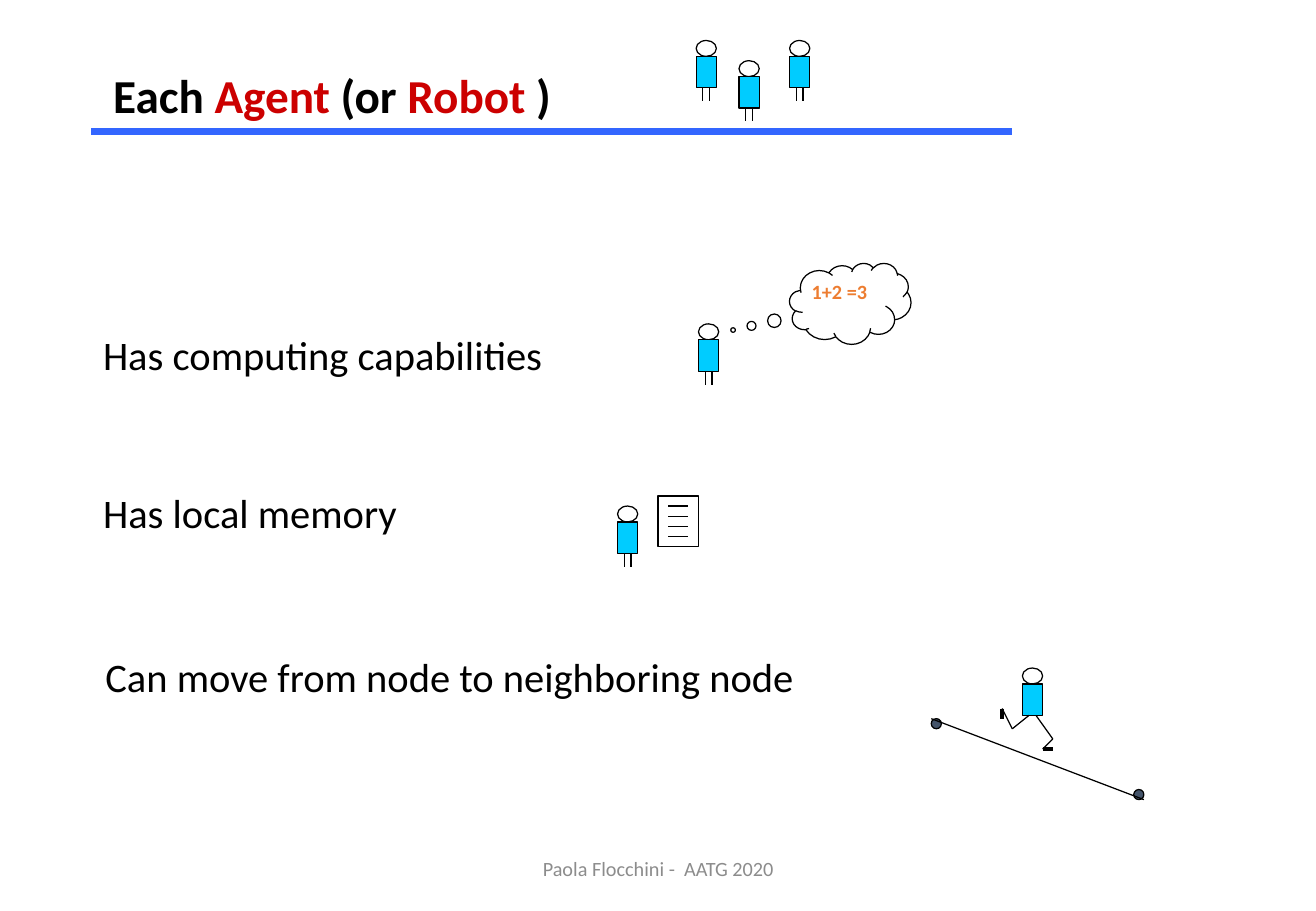
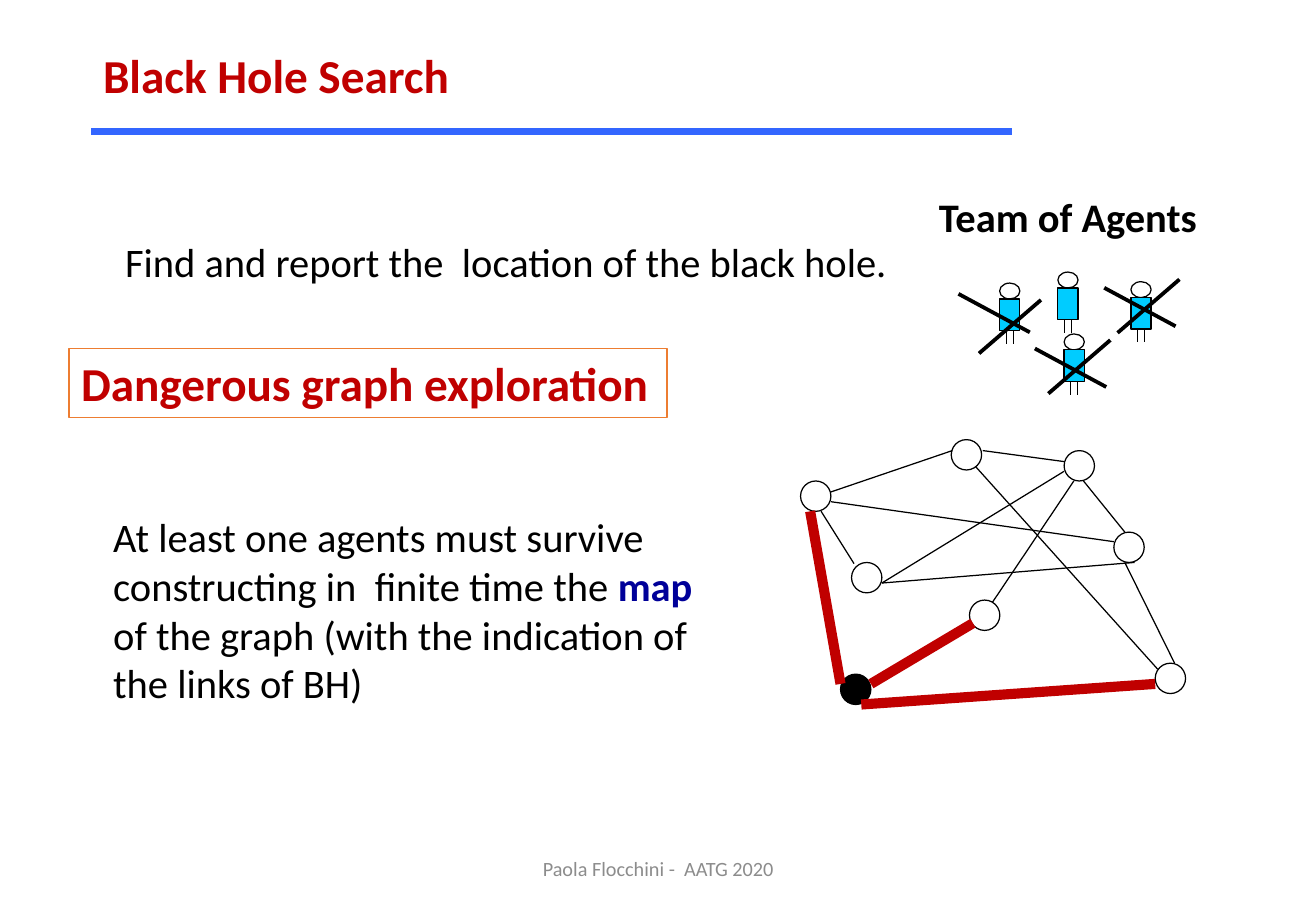
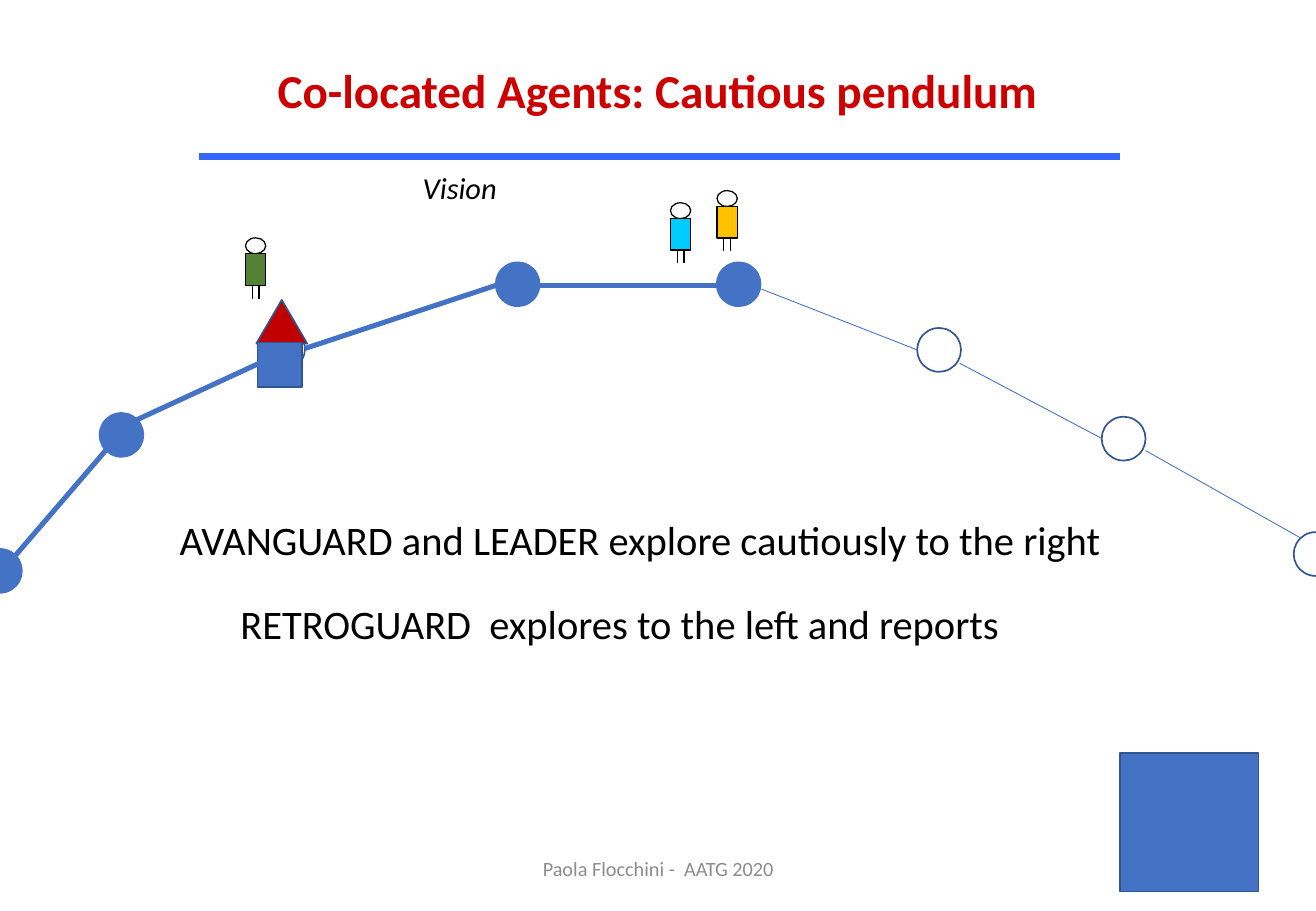
import pptx
import pptx.util
import pptx.dml.color
import pptx.enum.shapes
import pptx.enum.text
import lxml.etree

Pt = pptx.util.Pt
SHAPE = pptx.enum.shapes.MSO_SHAPE
ALIGN = pptx.enum.text.PP_ALIGN
ANCHOR = pptx.enum.text.MSO_ANCHOR

FONT = "Calibri"
FOOTER = "Paola Flocchini -  AATG 2020"
COLORS = {
    "black": "000000", "white": "FFFFFF", "gray": "8C8C8C", "rule": "3366FF",
    "red": "CC0000", "dark red": "C00000", "navy": "000099", "orange": "ED7D31",
    "cyan": "00CCFF", "gold": "FFC000", "green": "548235", "slate": "44546A",
    "blue": "4472C4", "dark blue": "325491",
}

# Slide 1: left, top, width, text
ABILITIES = [
    (54, 192, 496, "Has computing capabilities"),
    (54, 286, 300, "Has local memory"),
    (55.4, 383, 470, "Can move from node to neighboring node"),
]
TITLE_AGENTS = [(438, 36), (468, 24), (412.6, 24)]
THINKER, REMEMBERER, RUNNER = (414, 192), (366, 300), (606, 396)
RUNNING_LEGS = [[(610, 424), (600, 432), (594, 420)],
                [(614, 424), (624, 438), (618, 444)]]
FEET = [[(594, 420), (594, 426)], [(618, 444), (624, 444)]]
TRACK = [(552, 426), (678, 474)]
TRACK_NODES = [(552, 426), (672, 468)]

# Slide 2
TEAM = [(670.3, 167), (627, 161.3), (592.5, 167.8), (630.7, 198)]
CROSS_STARTS = [((568.1, 174.2), (580.3, 209.5)),
                ((654.5, 170.6), (662.4, 197.3)),
                ((613.4, 206.6), (621.4, 233.3))]
CROSS_STROKES = [(42.3, 22.8), (36.7, -31.7)]
GRAPH_NODES = [(474.5, 285.1), (563.8, 260.6), (660.2, 315.4), (504.7, 333.4),
               (574.6, 355.7), (630.7, 267.1), (684.7, 393.1)]
BLACK_HOLE = (498.2, 399.6)
SAFE_LINKS = [
    [(666.7, 333.4), (696.2, 393.1)], [(642.2, 285.1), (666.7, 315.4)],
    [(492.5, 291.6), (564.5, 267.1)], [(492.5, 297.4), (660.2, 321.1)],
    [(578.2, 276.5), (686.2, 396.7)], [(522.7, 345.6), (630.7, 279.4)],
    [(582.5, 267.1), (630.7, 273.6)], [(522.7, 345.6), (672.5, 333.4)],
    [(636.5, 285.1), (588.2, 357.1)], [(486.7, 303.1), (506.2, 334.1)],
]
BLACK_HOLE_LINKS = [
    [(516.2, 405.4), (576.7, 369.4)], [(480.2, 303.1), (498.2, 405.4)],
    [(510.5, 417.6), (684.7, 405.4)],
]

# Slide 3
EXPLORED_NODES = [(-13, 325.4), (59, 244.8), (293.8, 155.5), (424.8, 155.5)]
OTHER_NODES = [(154.8, 193.7), (543.6, 194.4), (653, 247), (766.8, 315.4)]
EXPLORED_LINKS = [
    [(319, 169.2), (424.8, 169.2)], [(180.7, 206.6), (293.8, 169.2)],
    [(80.6, 249.1), (157, 213.8)], [(9.4, 329), (62.6, 267.1)],
]
UNEXPLORED_LINKS = [
    [(451.4, 171.4), (543.6, 207.4)], [(568.8, 215.3), (653, 259.9)],
    [(679, 267.1), (771.1, 319)],
]
GUARDS = [((425, 113), "gold"), ((145.5, 141), "green"), ((397.4, 120.2), "cyan")]


def rgb(name):
    return pptx.dml.color.RGBColor.from_string(COLORS[name])


def add_shape(shapes, kind, left, top, width, height, fill=None, line="black", weight=0.75):
    shape = shapes.add_shape(kind, Pt(left), Pt(top), Pt(width), Pt(height))
    shape.shadow.inherit = False
    if fill:
        shape.fill.solid()
        shape.fill.fore_color.rgb = rgb(fill)
    else:
        shape.fill.background()
    shape.line.color.rgb = rgb(line)
    shape.line.width = Pt(weight)
    return shape


def add_path(shapes, points, color="black", weight=0.75):
    """Join successive points with straight connectors."""
    for start, end in zip(points, points[1:]):
        connector = shapes.add_connector(
            pptx.enum.shapes.MSO_CONNECTOR.STRAIGHT, *(Pt(value) for value in start + end))
        connector.line.color.rgb = rgb(color)
        connector.line.width = Pt(weight)
        lxml.etree.SubElement(connector._element.spPr, pptx.oxml.ns.qn("a:effectLst"))


def write(shape, runs, size, bold=False, italic=False, align=ALIGN.LEFT,
          anchor=ANCHOR.TOP, wrap=True):
    """Fill a shape with one paragraph made of (text, colour[, bold]) runs."""
    frame = shape.text_frame
    frame.word_wrap = wrap
    frame.vertical_anchor = anchor
    paragraph = frame.paragraphs[0]
    paragraph.alignment = align
    for text, color, *own_bold in runs:
        run = paragraph.add_run()
        run.text = text
        run.font.name = FONT
        run.font.size = Pt(size)
        run.font.bold = own_bold[0] if own_bold else bold
        run.font.italic = italic
        run.font.color.rgb = rgb(color)


def add_text(shapes, left, top, width, height, runs, size=24, **style):
    box = shapes.add_textbox(Pt(left), Pt(top), Pt(width), Pt(height))
    write(box, runs, size, **style)


def add_agent(slide, position, color="cyan", standing=True):
    left, top = position
    shapes = slide.shapes.add_group_shape().shapes
    add_shape(shapes, SHAPE.OVAL, left, top, 12, 9.4)
    add_shape(shapes, SHAPE.RECTANGLE, left, top + 9.4, 12, 18.7, color)
    if standing:
        for leg in (left + 4, left + 8):
            add_path(shapes, [(leg, top + 28), (leg, top + 36)])


def add_slide(presentation, title, title_box, rule_start, align=ALIGN.LEFT):
    slide = presentation.slides.add_slide(presentation.slide_layouts[6])
    shapes = slide.shapes
    add_text(shapes, 258.5, 500.4, 263.5, 28.8, [(FOOTER, "gray")], 12,
             align=ALIGN.CENTER, anchor=ANCHOR.MIDDLE)
    left, top = rule_start
    add_path(shapes, [(left, top), (left + 546, top)], "rule", 4)
    add_text(shapes, *title_box, 41, title, 28, bold=True, align=align)
    return slide


def build_agent_slide(presentation):
    title = [("Each ", "black"), ("Agent ", "red"), ("(or", "black"),
             (" Robot ", "red"), (")", "black")]
    slide = add_slide(presentation, title, (60, 36, 300), (54, 78))
    shapes = slide.shapes
    for left, top, width, text in ABILITIES:
        add_text(shapes, left, top, width, 36, [(text, "black")])
    for position in TITLE_AGENTS + [THINKER, REMEMBERER]:
        add_agent(slide, position)

    cloud = add_shape(shapes, SHAPE.CLOUD_CALLOUT, 468, 156, 72, 48, "white")
    cloud.adjustments[0], cloud.adjustments[1] = -0.965, 0.326
    add_text(shapes, 474, 162, 48, 22, [("1+2 =3", "orange")], 12, bold=True, wrap=False)

    add_shape(shapes, SHAPE.RECTANGLE, 390, 294, 24, 30, "white")
    for row in range(4):
        add_path(shapes, [(396, 300 + 6 * row), (408, 300 + 6 * row)])

    for left, top in TRACK_NODES:
        add_shape(shapes, SHAPE.OVAL, left, top, 6, 6, "slate")
    add_path(shapes, TRACK)
    add_agent(slide, RUNNER, standing=False)
    for leg in RUNNING_LEGS:
        add_path(shapes, leg)
    for foot in FEET:
        add_path(shapes, foot, weight=2.75)


def build_black_hole_slide(presentation):
    slide = add_slide(presentation, [("Black Hole Search", "dark red")],
                      (54, 24, 300), (54, 78))
    shapes = slide.shapes
    add_text(shapes, 67, 136.8, 480, 36,
             [("Find and report the  location of the black hole.", "black")])
    box = add_shape(shapes, SHAPE.RECTANGLE, 41, 206.6, 354.2, 41, "white", "orange", 1)
    write(box, [("Dangerous graph exploration", "dark red")], 28, bold=True, wrap=False)
    add_text(shapes, 60, 300.2, 366.5, 124,
             [("At least one agents must survive constructing in  finite time the ", "black"),
              ("map", "navy", True),
              (" of the graph (with the indication of the links of BH)", "black")])

    for left, top in GRAPH_NODES:
        add_shape(shapes, SHAPE.OVAL, left, top, 18, 18, "white")
    add_shape(shapes, SHAPE.OVAL, *BLACK_HOLE, 18, 18, "black")
    for link in SAFE_LINKS:
        add_path(shapes, link)
    for link in BLACK_HOLE_LINKS:
        add_path(shapes, link, "dark red", 6)

    add_text(shapes, 549.4, 110.2, 180, 36, [("Team of Agents", "black")], bold=True)
    for position in TEAM:
        add_agent(slide, position)
    for starts in CROSS_STARTS:
        for (left, top), (across, down) in zip(starts, CROSS_STROKES):
            add_path(shapes, [(left, top), (left + across, top + down)], weight=2.25)


def build_pendulum_slide(presentation):
    slide = add_slide(presentation, [("Co-located Agents: Cautious pendulum", "red")],
                      (154, 33, 471), (118, 92.9), ALIGN.CENTER)
    shapes = slide.shapes
    for left, top in OTHER_NODES:
        add_shape(shapes, SHAPE.OVAL, left, top, 26, 26, "white", "dark blue", 1)
    for left, top in EXPLORED_NODES:
        add_shape(shapes, SHAPE.OVAL, left, top, 26, 26, "blue", "blue", 1)
    for position, color in GUARDS:
        add_agent(slide, position, color)
    for link in UNEXPLORED_LINKS:
        add_path(shapes, link, "blue", 0.5)
    add_shape(shapes, SHAPE.ISOSCELES_TRIANGLE, 151.9, 177.8, 30.2, 25.9,
              "dark red", "dark blue", 1)
    add_shape(shapes, SHAPE.RECTANGLE, 152.6, 203, 26.6, 26.6, "blue", "dark blue", 1)
    for link in EXPLORED_LINKS:
        add_path(shapes, link, "blue", 3)

    add_text(shapes, 243.4, 96.5, 390, 29, [("Vision", "black")], 18, italic=True)
    add_text(shapes, 99.4, 301.7, 564.5, 36,
             [("AVANGUARD and LEADER explore cautiously to the right", "black")])
    add_text(shapes, 135.4, 351.4, 484, 36,
             [("RETROGUARD  explores to the left and reports", "black")])
    add_shape(shapes, SHAPE.ACTION_BUTTON_CUSTOM, 663.8, 446.4, 82.1, 82.1,
              "blue", "dark blue", 1)


def main():
    presentation = pptx.Presentation()
    presentation.slide_width, presentation.slide_height = Pt(780), Pt(540)
    build_agent_slide(presentation)
    build_black_hole_slide(presentation)
    build_pendulum_slide(presentation)
    presentation.save("out.pptx")


if __name__ == "__main__":
    main()
